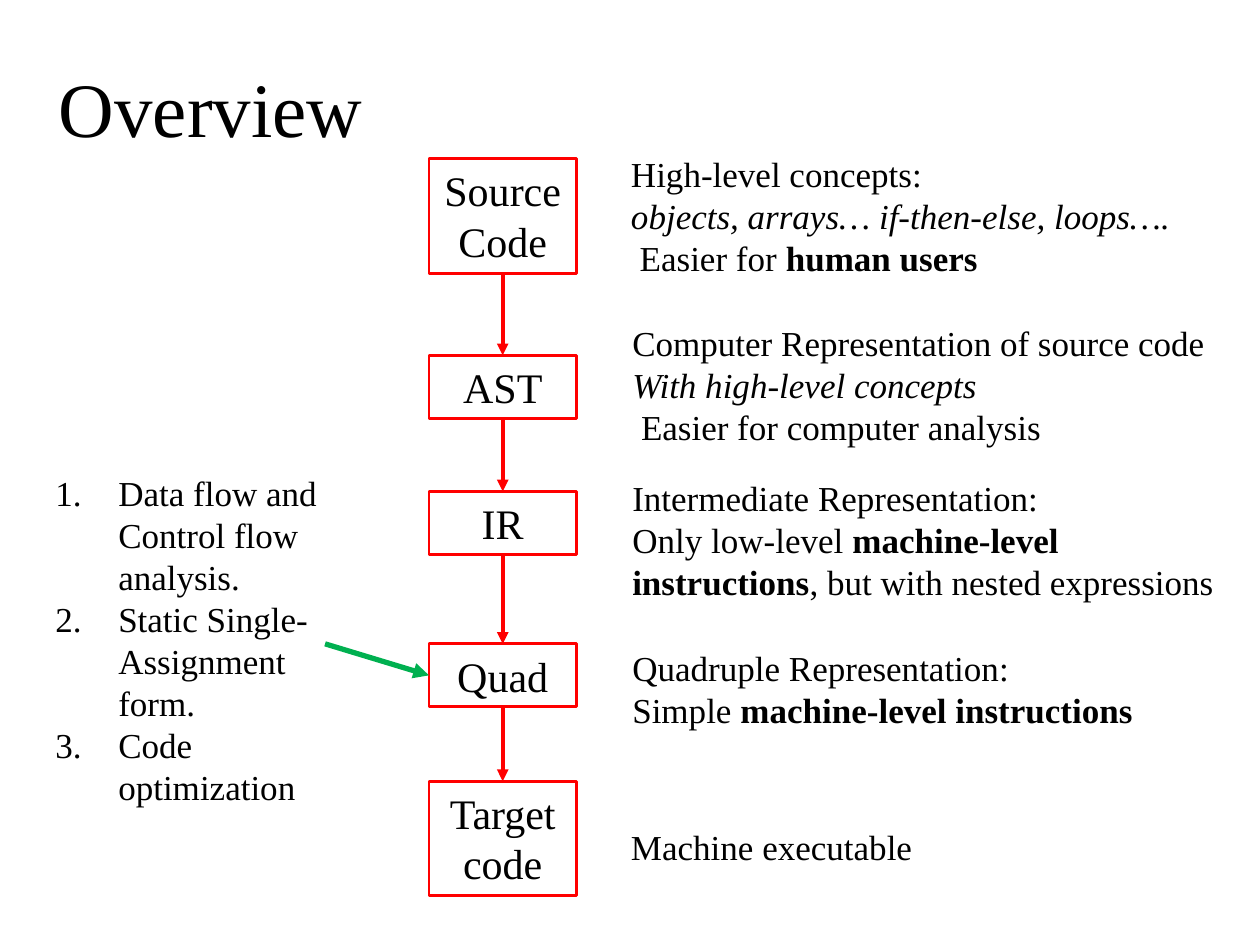
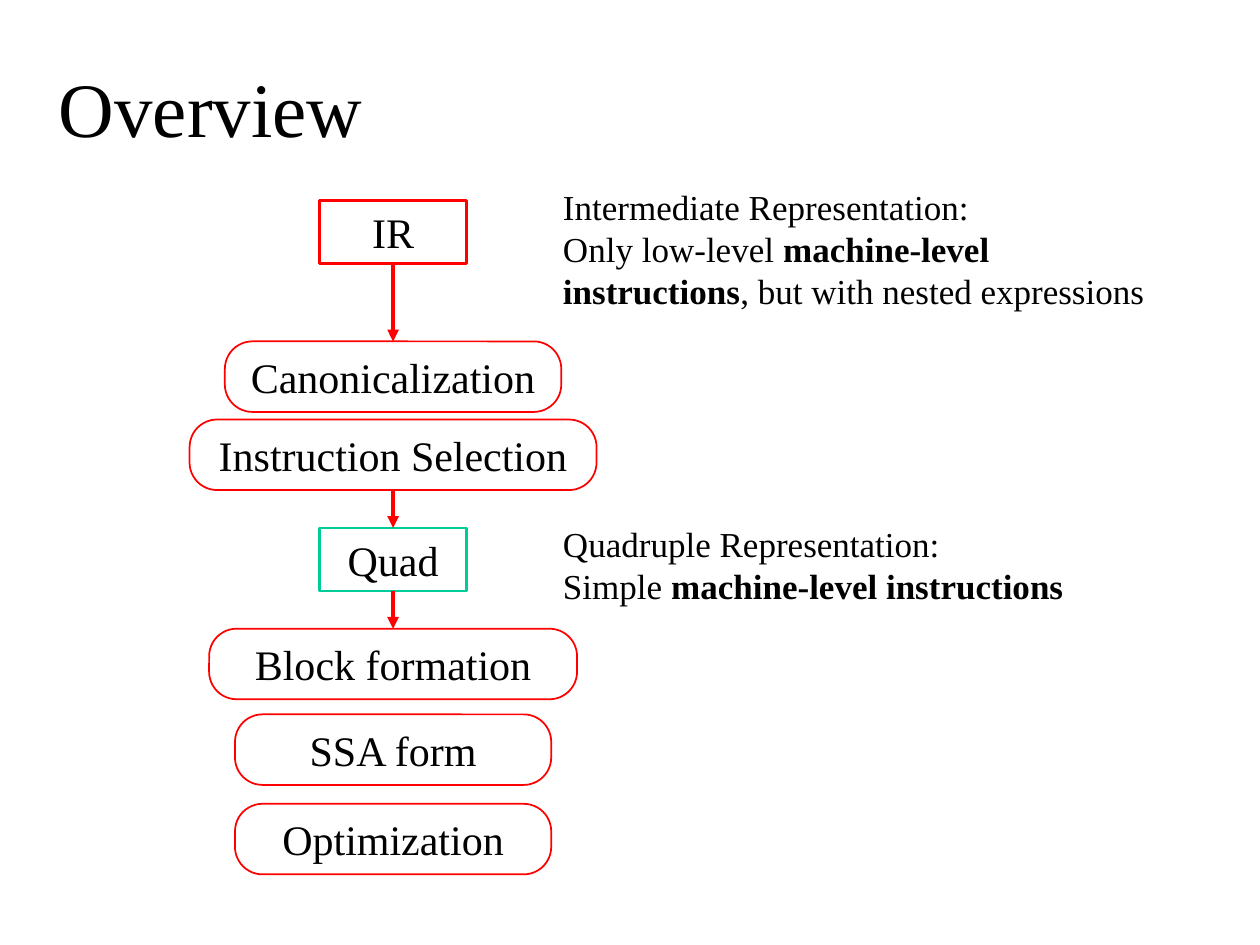
from itertools import pairwise

from lxml.etree import SubElement
from pptx import Presentation
from pptx.dml.color import RGBColor
from pptx.enum.shapes import MSO_CONNECTOR, MSO_SHAPE
from pptx.enum.text import MSO_ANCHOR, MSO_AUTO_SIZE, PP_ALIGN
from pptx.oxml.ns import qn
from pptx.util import Inches, Pt

COLORS = {"ink": "000000", "red": "FF0000", "green": "00B050", "teal": "00CC99"}
FONT = "Times New Roman"
BOTTOM, TOP, LEFT = 2, 0, 1

IR_NOTE = [
    [("Intermediate Representation:", "")],
    [("Only low-level ", ""), ("machine-level instructions", "b"),
     (", but with nested expressions", "")],
]
QUAD_NOTE = [
    [("Quadruple Representation:", "")],
    [("Simple ", ""), ("machine-level instructions", "b")],
]


class Deck:
    def __init__(self):
        self.file = Presentation()
        self.file.slide_width = Inches(10)
        self.file.slide_height = Inches(7.5)
        self.slide = None

    def color(self, name):
        return RGBColor.from_string(COLORS[name])

    def page(self, title):
        self.slide = self.file.slides.add_slide(self.file.slide_layouts[6])
        frame = self.frame(0.1, 0.39, 3.3, 0.92)
        frame.vertical_anchor = MSO_ANCHOR.MIDDLE
        frame.text = title
        self.style(frame, 44, PP_ALIGN.CENTER)

    def frame(self, x, y, w, h):
        area = self.slide.shapes.add_textbox(*map(Inches, (x, y, w, h)))
        area.text_frame.word_wrap = True
        return area.text_frame

    def style(self, frame, size, align=PP_ALIGN.LEFT):
        for para in frame.paragraphs:
            para.alignment = align
            for run in para.runs:
                run.font.name = FONT
                run.font.size = Pt(size)
                run.font.color.rgb = self.color("ink")

    def shape(self, kind, text, mid, y, w, h, line, width):
        item = self.slide.shapes.add_shape(
            kind, *map(Inches, (mid - w / 2, y, w, h)))
        item.shadow.inherit = False
        item.fill.background()
        item.line.color.rgb = self.color(line)
        item.line.width = Pt(width)
        item.text_frame.word_wrap = True
        item.text_frame.text = text
        self.style(item.text_frame, 24, PP_ALIGN.CENTER)
        return item

    def box(self, text, mid, y, h=0.5, line="red"):
        item = self.shape(MSO_SHAPE.RECTANGLE, text, mid, y, 1.17, h, line, 1.5)
        item.text_frame.vertical_anchor = MSO_ANCHOR.TOP
        item.text_frame.auto_size = MSO_AUTO_SIZE.SHAPE_TO_FIT_TEXT
        return item

    def pill(self, text, mid, y, w):
        item = self.shape(
            MSO_SHAPE.ROUNDED_RECTANGLE, text, mid, y, w, 0.56, "red", 1)
        item.adjustments[0] = 0.39
        item.text_frame.vertical_anchor = MSO_ANCHOR.MIDDLE
        return item

    def note(self, x, y, h, lines):
        frame = self.frame(x, y, 4.83, h)
        for i, line in enumerate(lines):
            para = frame.add_paragraph() if i else frame.paragraphs[0]
            for text, mark in line:
                run = para.add_run()
                run.text = text
                run.font.bold = mark == "b"
                run.font.italic = mark == "i"
        self.style(frame, 20)

    def steps(self, x, y, w, h, items):
        frame = self.frame(x, y, w, h)
        frame.text = "\n".join(items)
        self.style(frame, 20)
        for para in frame.paragraphs:
            props = para._p.get_or_add_pPr()
            props.set("marL", str(Inches(0.5)))
            props.set("indent", str(Inches(-0.5)))
            SubElement(props, qn("a:buAutoNum"), type="arabicPeriod")

    def arrow(self, start, end, line="red", width=2.25):
        link = self.slide.shapes.add_connector(
            MSO_CONNECTOR.STRAIGHT, *map(Inches, start + end))
        link.line.color.rgb = self.color(line)
        link.line.width = Pt(width)
        SubElement(link.line._get_or_add_ln(), qn("a:tailEnd"), type="triangle")
        SubElement(link._element.spPr, qn("a:effectLst"))
        return link

    def join(self, upper, lower):
        link = self.arrow((0, 0), (0, 0))
        link.begin_connect(upper, BOTTOM)
        link.end_connect(lower, TOP)


def stages(deck):
    deck.page("Overview ")
    mid = 3.99
    boxes = [deck.box(text, mid, y, h) for text, y, h in (
        ("Source Code", 1.26, 0.91), ("AST", 2.82, 0.5), ("IR", 3.9, 0.5),
        ("Quad", 5.11, 0.5), ("Target code", 6.2, 0.91))]
    for upper, lower in pairwise(boxes):
        deck.join(upper, lower)
    deck.note(4.91, 1.16, 1.11, [
        [("High-level concepts:", "")],
        [("objects, arrays… if-then-else, loops….", "i")],
        [(" Easier for ", ""), ("human users", "b")],
    ])
    deck.note(4.92, 2.5, 1.11, [
        [("Computer Representation of source code", "")],
        [("With high-level concepts", "i")],
        [(" Easier for computer analysis", "")],
    ])
    deck.note(4.92, 3.73, 1.11, IR_NOTE)
    deck.note(4.92, 5.08, 0.77, QUAD_NOTE)
    deck.note(4.91, 6.5, 0.44, [[("Machine executable", "")]])
    deck.steps(0.34, 3.69, 2.41, 2.79, (
        "Data flow and Control flow analysis.",
        "Static Single-Assignment form.", "Code optimization"))
    link = deck.arrow((2.58, 5.11), (3.4, 5.37), "green", 3)
    link.end_connect(boxes[3], LEFT)


def passes(deck):
    deck.page("Overview ")
    mid = 3.12
    tree = deck.box("IR", mid, 1.59)
    quad = deck.box("Quad", mid, 4.19, line="teal")
    canon, select, block, _, _ = [deck.pill(text, mid, y, w) for text, y, w in (
        ("Canonicalization", 2.71, 2.67), ("Instruction Selection", 3.33, 3.23),
        ("Block formation", 4.99, 2.92), ("SSA form", 5.67, 2.51),
        ("Optimization", 6.38, 2.51))]
    for upper, lower in ((tree, canon), (select, quad), (quad, block)):
        deck.join(upper, lower)
    deck.note(4.37, 1.42, 1.11, IR_NOTE)
    deck.note(4.37, 4.1, 0.77, QUAD_NOTE)


def main():
    deck = Deck()
    stages(deck)
    passes(deck)
    deck.file.save("out.pptx")


if __name__ == "__main__":
    main()
